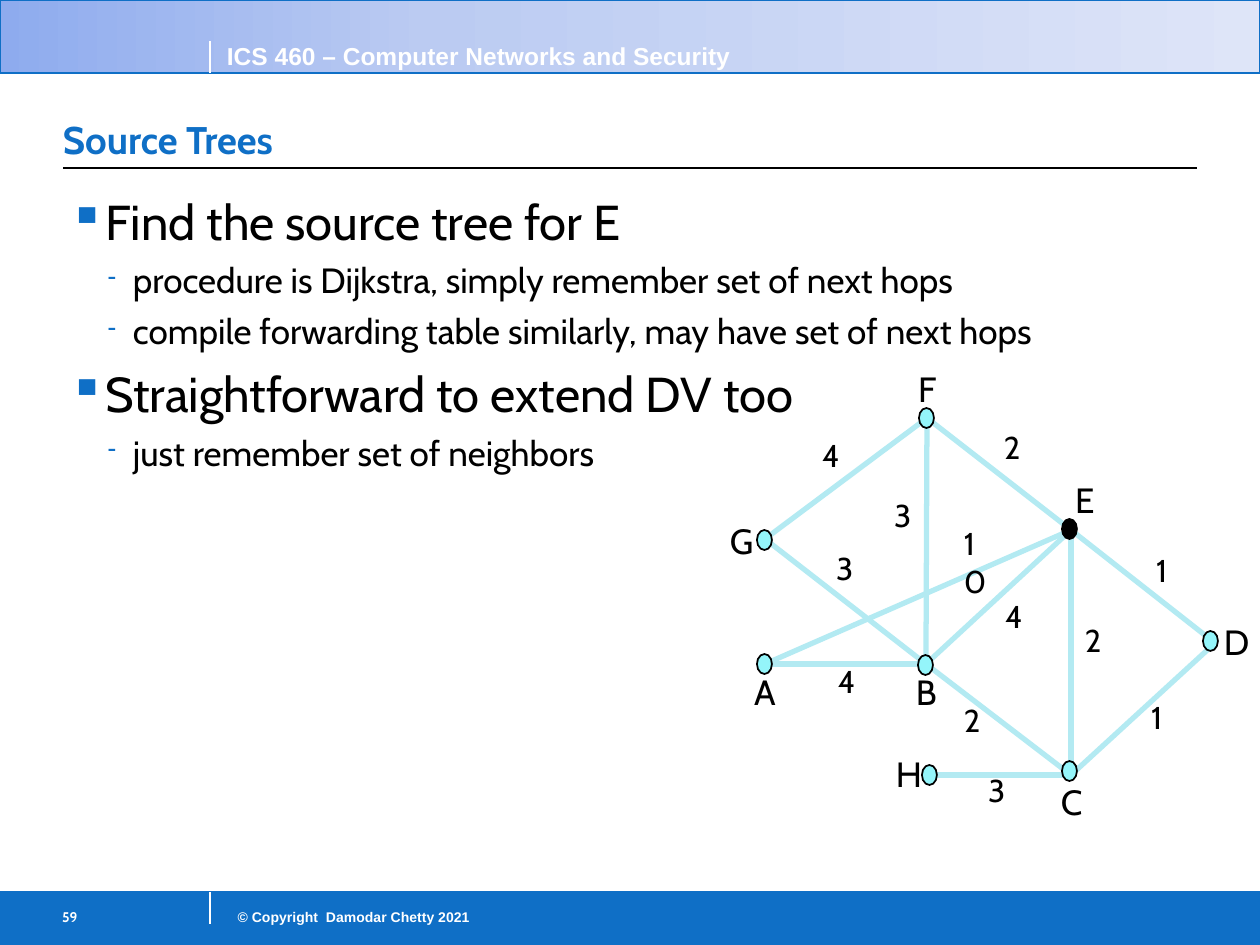
from lxml import etree
from pptx import Presentation
from pptx import util as u
from pptx.dml.color import RGBColor
from pptx.enum import shapes, text
from pptx.oxml import parse_xml
from pptx.oxml.ns import nsdecls, qn

EMU_PER_PX = 914400 / 126
WIDTH, HEIGHT = 1260, 945
COLORS = {
    "blue": "0F6FC6", "white": "FFFFFF", "black": "000000",
    "edge": "B3EAF2", "node": "94F5FA",
    "band_start": "8EABEE", "band_middle": "BBCBF2", "band_end": "DEE5F8",
}
DEFAULT_INSETS = (13, 6, 13, 6)
BULLETS = {
    0: {"size": 28, "margin": 26, "indent": -26, "char": "▪", "percent": 100},
    1: {"size": 20, "margin": 64, "indent": -25, "char": "-", "percent": 70},
}
OUTLINE = [
    (0, "Find the source tree for E"),
    (1, "procedure is Dijkstra, simply remember set of next hops"),
    (1, "compile forwarding table similarly, may have set of next hops"),
    (0, "Straightforward to extend DV too"),
    (1, "just remember set of neighbors"),
]
JOINTS = {
    "A": (65, 324), "B": (226, 324), "C": (371, 435), "D": (515, 303),
    "E": (371, 190), "F": (227, 78), "G": (65, 199), "H": (226, 435),
}
NODES = {
    "D": (511, 301), "F": (227, 78), "B": (226, 325), "C": (370, 431),
    "E": (370, 189), "G": (65, 200), "H": (230, 435), "A": (65, 324),
}
NODE_LABELS = {
    "A": (41, 320, 47), "B": (203, 320, 45), "C": (348, 431, 45), "D": (511, 271, 48),
    "E": (362, 129, 44), "F": (205, 17, 43), "G": (17, 169, 49), "H": (183, 403, 49),
}
EDGES = [
    ("AB", "4", 132, 322), ("BC", "2", 258, 361), ("CE", "2", 379, 281),
    ("BE", "4", 299, 257), ("AE", "10", 258, 184), ("BF", "3", 188, 156),
    ("BG", "3", 130, 209), ("GF", "4", 116, 96), ("FE", "2", 298, 88),
    ("ED", "1", 450, 211), ("CD", "1", 445, 358), ("CH", "3", 282, 431),
]


def px(value):
    return u.Emu(round(value * EMU_PER_PX))


def color(name):
    return RGBColor.from_string(COLORS[name])


def add_line(parent, start, end, name, points):
    line = parent.add_connector(
        shapes.MSO_CONNECTOR.STRAIGHT, *(px(value) for value in (*start, *end)))
    line.line.color.rgb = color(name)
    line.line.width = u.Pt(points)
    etree.SubElement(line._element.spPr, qn("a:effectLst"))


def add_shape(parent, kind, box, fill, line, points):
    shape = parent.add_shape(kind, *map(px, box))
    shape.shadow.inherit = False
    shape.fill.solid()
    shape.fill.fore_color.rgb = color(fill)
    shape.line.color.rgb = color(line)
    shape.line.width = u.Pt(points)
    return shape


def add_run(paragraph, words, size, name="black", font="Cabin", bold=False):
    run = paragraph.add_run()
    run.text = words
    run.font.size = u.Pt(size)
    run.font.name = font
    run.font.bold = bold
    run.font.color.rgb = color(name)


def add_frame(parent, box, insets=DEFAULT_INSETS, anchor=text.MSO_ANCHOR.TOP, wrap=True):
    frame = parent.add_textbox(*map(px, box)).text_frame
    frame.word_wrap = wrap
    frame.vertical_anchor = anchor
    frame.margin_left, frame.margin_top, frame.margin_right, frame.margin_bottom = map(px, insets)
    return frame


def add_header(slide, left, top, width, height):
    band = add_shape(slide.shapes, shapes.MSO_SHAPE.RECTANGLE,
                     (left, top, width, height), "band_end", "blue", 0.75)
    band.fill.gradient()
    band.fill.gradient_angle = 0
    stops = band._element.spPr.find(qn("a:gradFill")).find(qn("a:gsLst"))
    for stop in list(stops):
        stops.remove(stop)
    for percent, name in ((0, "band_start"), (34, "band_middle"), (100, "band_end")):
        stops.append(parse_xml(
            f'<a:gs {nsdecls("a")} pos="{percent * 1000}">'
            f'<a:srgbClr val="{COLORS[name]}"/></a:gs>'))
    bottom = top + height
    add_line(slide.shapes, (left, bottom), (left + width, bottom), "blue", 0.5)
    add_line(slide.shapes, (left + 210, bottom), (left + 210, bottom - 32), "white", 0.75)
    frame = add_frame(slide.shapes, (left + 214, top + 35, 542, 43))
    add_run(frame.paragraphs[0], "ICS 460 – Computer Networks and Security",
            14, "white", "Arial", True)


def add_footer(slide, left, top, width, height):
    add_shape(slide.shapes, shapes.MSO_SHAPE.RECTANGLE,
              (left, top, width, height), "blue", "blue", 0.75)
    add_line(slide.shapes, (left, top), (left + width, top), "blue", 0.5)
    add_line(slide.shapes, (left + 210, top + 32), (left + 210, top), "white", 0.75)
    notice = add_frame(slide.shapes, (left + 210, top + 11, 273, 30)).paragraphs[0]
    notice.alignment = text.PP_ALIGN.RIGHT
    add_run(notice, "© Copyright  Damodar Chetty 2021", 8, "white", "Arial", True)
    number = add_frame(slide.shapes, (left + 42, top + 8, 168, 44), (20, 9, 13, 6))
    add_run(number.paragraphs[0], "59", 8, "white", bold=True)


def add_title(slide, left, top, width, height):
    frame = add_frame(slide.shapes, (left, top, width, height),
                      (0, 6, 0, 6), text.MSO_ANCHOR.BOTTOM)
    add_run(frame.paragraphs[0], "Source Trees", 22, "blue", bold=True)
    bottom = top + height
    add_line(slide.shapes, (left, bottom), (left + width, bottom), "black", 0.75)


def add_outline(slide, left, top, width, height):
    frame = add_frame(slide.shapes, (left, top, width, height), (6, 6, 6, 6))
    for index, (level, words) in enumerate(OUTLINE):
        style = BULLETS[level]
        paragraph = frame.add_paragraph() if index else frame.paragraphs[0]
        paragraph.level = level
        paragraph.line_spacing = 1.04
        paragraph.space_before = u.Pt(style["size"] * 0.2)
        properties = paragraph._p.get_or_add_pPr()
        properties.set("marL", str(px(style["margin"])))
        properties.set("indent", str(px(style["indent"])))
        for xml in (f'<a:buClr {nsdecls("a")}><a:srgbClr val="{COLORS["blue"]}"/></a:buClr>',
                    f'<a:buSzPct {nsdecls("a")} val="{style["percent"] * 1000}"/>',
                    f'<a:buChar {nsdecls("a")} char="{style["char"]}"/>'):
            properties.append(parse_xml(xml))
        add_run(paragraph, words, style["size"])


def add_graph(slide, left, top):
    group = slide.shapes.add_group_shape().shapes

    def place(point):
        return left + point[0], top + point[1]

    for (start, end), *_ in EDGES:
        add_line(group, place(JOINTS[start]), place(JOINTS[end]), "edge", 3)
    for name, center in NODES.items():
        x, y = place(center)
        add_shape(group, shapes.MSO_SHAPE.OVAL, (x - 8, y - 10, 15, 20),
                  "black" if name == "E" else "node", "black", 1)
    for name, (x, y, width) in NODE_LABELS.items():
        frame = add_frame(group, (*place((x, y)), width, 62),
                          anchor=text.MSO_ANCHOR.MIDDLE, wrap=False)
        frame.paragraphs[0].alignment = text.PP_ALIGN.CENTER
        add_run(frame.paragraphs[0], name, 20)
    for _, weight, x, y in EDGES:
        stacked = len(weight) > 1
        frame = add_frame(group, (*place((x, y)), 40 if stacked else 29, 43),
                          (6, 0, 6, 0), wrap=stacked)
        add_run(frame.paragraphs[0], weight, 18)


def main():
    presentation = Presentation()
    presentation.slide_width, presentation.slide_height = px(WIDTH), px(HEIGHT)
    slide = presentation.slides.add_slide(presentation.slide_layouts[6])
    add_footer(slide, 0, 892, WIDTH, 53)
    add_header(slide, 0, 0, WIDTH, 73)
    add_title(slide, 63, 77, 1134, 91)
    add_outline(slide, 63, 183, 1197, 679)
    add_graph(slide, 700, 340)
    presentation.save("out.pptx")


if __name__ == "__main__":
    main()
